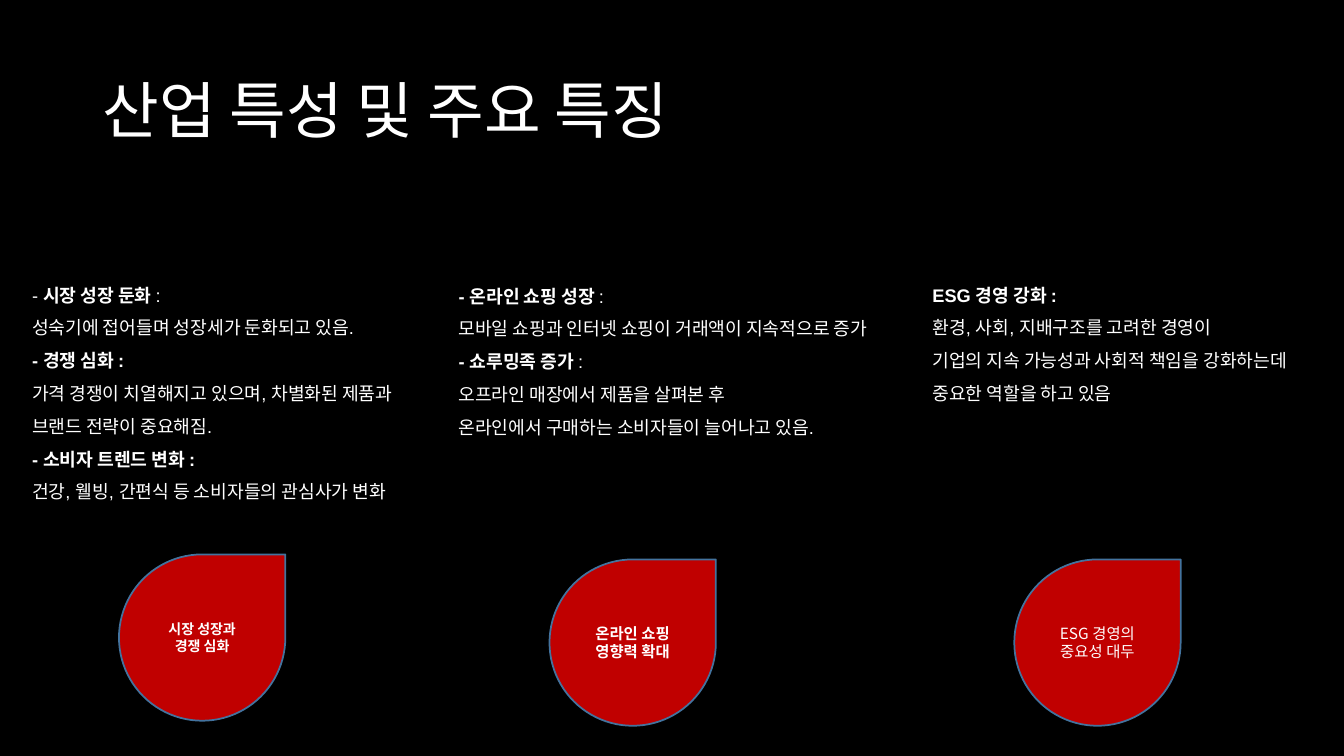
from lxml import etree
from pptx import Presentation
from pptx.dml.color import RGBColor as Rgb
from pptx.enum.shapes import MSO_SHAPE as Shape
from pptx.enum.text import MSO_ANCHOR as Anchor, PP_ALIGN as Align
from pptx.oxml.ns import qn
from pptx.util import Pt

PX = 9144
COLORS = {"ground": "000000", "text": "FFFFFF", "drop": "C00000", "edge": "43739E"}
LATIN, KOREAN = "Arial", "Noto Sans CJK KR"
DROP_SIZE = 165

COLUMNS = [
    ((22, 266, 523, 240), [
        [("- ", False), ("시장 성장 둔화 ", True), (":", False)],
        [("성숙기에 접어들며 성장세가 둔화되고 있음.", False)],
        [("- 경쟁 심화 :", True)],
        [("가격 경쟁이 치열해지고 있으며, 차별화된 제품과", False)],
        [("브랜드 전략이 중요해짐.", False)],
        [("- 소비자 트렌드 변화 :", True)],
        [("건강, 웰빙, 간편식 등 소비자들의 관심사가 변화", False)],
    ]),
    ((445, 267, 470, 174), [
        [("- 온라인 쇼핑 성장 ", True), (":", False)],
        [("모바일 쇼핑과 인터넷 쇼핑이 거래액이 지속적으로 증가", False)],
        [("- 쇼루밍족 증가 ", True), (":", False)],
        [("오프라인 매장에서 제품을 살펴본 후", False)],
        [("온라인에서 구매하는 소비자들이 늘어나고 있음.", False)],
    ]),
    ((915, 266, 417, 137), [
        [("ESG 경영 강화 :", True)],
        [("환경, 사회, 지배구조를 고려한 경영이", False)],
        [("기업의 지속 가능성과 사회적 책임을 강화하는데", False)],
        [("중요한 역할을 하고 있음", False)],
    ]),
]
DROPS = [
    ((118, 550), "시장 성장과\n경쟁 심화", 10, True),
    ((545, 555), "온라인 쇼핑\n영향력 확대", 11, True),
    ((1006, 555), "ESG 경영의\n중요성 대두", 11, False),
]


def color(name):
    """Return the named palette colour."""
    return Rgb.from_string(COLORS[name])


def emu(box):
    """Turn px lengths into EMU."""
    return [length * PX for length in box]


def style(span, size, bold=False, latin=KOREAN):
    """Set the look of one run, with Korean glyphs in the Korean font."""
    span.font.size = Pt(size)
    span.font.bold = bold
    span.font.name = latin
    span.font.color.rgb = color("text")
    east_asian = etree.Element(qn("a:ea"), typeface=KOREAN)
    span.font._element.find(qn("a:latin")).addnext(east_asian)


def add_title(page, box, text):
    """Place the slide heading."""
    frame = page.shapes.add_textbox(*emu(box)).text_frame
    frame.word_wrap = True
    frame.vertical_anchor = Anchor.MIDDLE
    frame.text = text
    para = frame.paragraphs[0]
    para.line_spacing = 0.9
    style(para.runs[0], 44)


def add_column(page, box, lines):
    """Place one column of headings and explanations."""
    frame = page.shapes.add_textbox(*emu(box)).text_frame
    frame.word_wrap = True
    for index, line in enumerate(lines):
        para = frame.add_paragraph() if index else frame.paragraphs[0]
        para.line_spacing = 1.5
        for text, bold in line:
            span = para.add_run()
            span.text = text
            style(span, 13, bold, LATIN)


def add_drop(page, corner, text, size, bold):
    """Place one teardrop with its centred summary."""
    box = (*corner, DROP_SIZE, DROP_SIZE)
    drop = page.shapes.add_shape(Shape.TEAR, *emu(box))
    drop.shadow.inherit = False
    drop.fill.solid()
    drop.fill.fore_color.rgb = color("drop")
    drop.line.color.rgb = color("edge")
    drop.line.width = Pt(1.25)
    frame = drop.text_frame
    frame.vertical_anchor = Anchor.MIDDLE
    frame.text = text
    for para in frame.paragraphs:
        para.alignment = Align.CENTER
        style(para.runs[0], size, bold)


def main():
    """Build and save the deck."""
    deck = Presentation()
    deck.slide_width, deck.slide_height = emu((1333, 750))
    page = deck.slides.add_slide(deck.slide_layouts[6])
    page.background.fill.solid()
    page.background.fill.fore_color.rgb = color("ground")
    add_title(page, (92, 40, 1150, 145), "산업 특성 및 주요 특징")
    for box, lines in COLUMNS:
        add_column(page, box, lines)
    for drop in DROPS:
        add_drop(page, *drop)
    deck.save("out.pptx")


if __name__ == "__main__":
    main()
